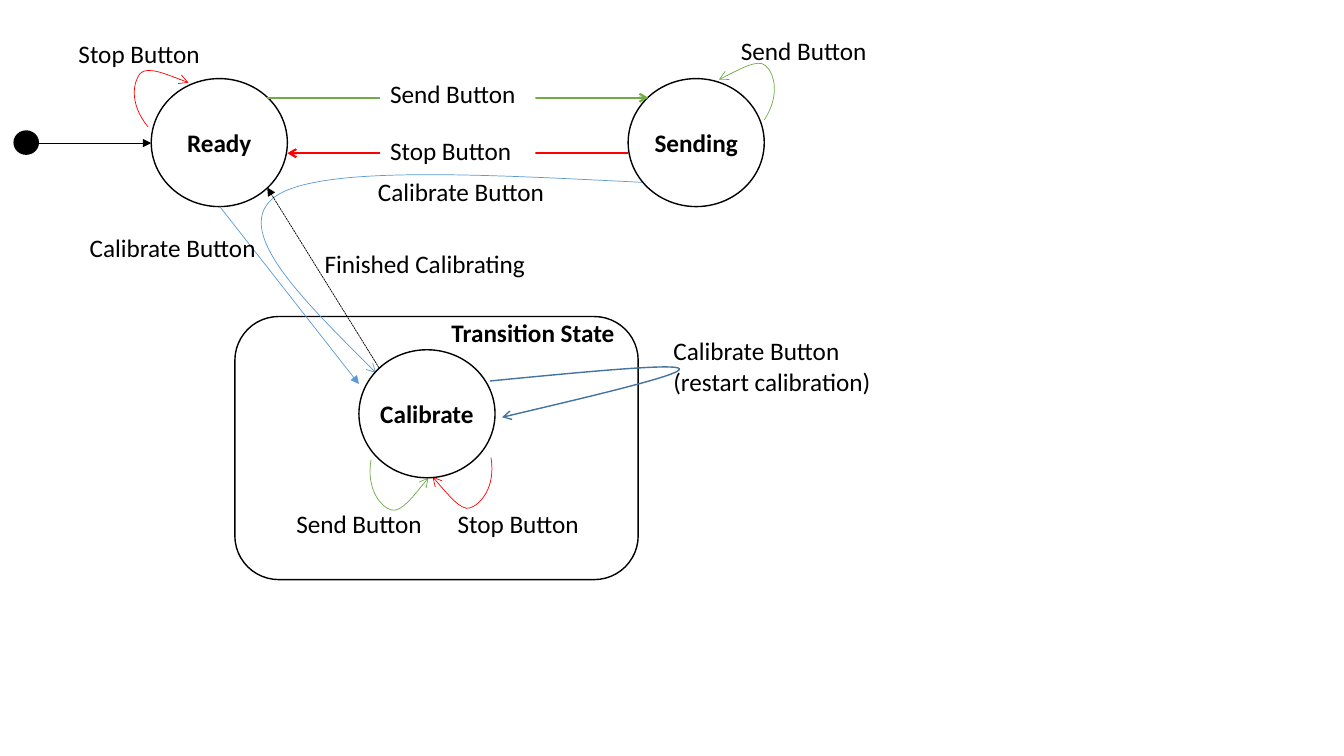
from lxml import etree
from pptx import Presentation
from pptx.dml.color import RGBColor
from pptx.enum.dml import MSO_LINE
from pptx.enum.shapes import MSO_CONNECTOR, MSO_SHAPE
from pptx.enum.text import MSO_ANCHOR, PP_ALIGN
from pptx.oxml.ns import qn
from pptx.util import Inches, Pt

BLACK = RGBColor(0x00, 0x00, 0x00)
WHITE = RGBColor(0xFF, 0xFF, 0xFF)
GREEN = RGBColor(0x70, 0xAD, 0x47)
RED = RGBColor(0xFF, 0x00, 0x00)
BLUE = RGBColor(0x5B, 0x9B, 0xD5)
DARK_BLUE = RGBColor(0x43, 0x73, 0x9E)
ELLIPSE, ROUNDED = MSO_SHAPE.OVAL, MSO_SHAPE.ROUNDED_RECTANGLE
STRAIGHT, SHORT_DASH = MSO_CONNECTOR.STRAIGHT, MSO_LINE.SQUARE_DOT
LEFT, CENTER, MIDDLE = PP_ALIGN.LEFT, PP_ALIGN.CENTER, MSO_ANCHOR.MIDDLE

STATE_WIDTH, STATE_HEIGHT = 1.35, 1.27


def style_arrow(arrow, color, width, head):
    """Colour a line or curve, put an arrowhead at its end and drop its shadow."""
    arrow.line.color.rgb = color
    arrow.line.width = Pt(width)
    properties = arrow._element.spPr
    etree.SubElement(properties.find(qn("a:ln")), qn("a:tailEnd"), type=head)
    etree.SubElement(properties, qn("a:effectLst"))


def write_text(frame, wording, bold=False, align=LEFT):
    """Write each line of the wording as one paragraph."""
    frame.word_wrap = True
    for number, text in enumerate(wording.split("\n")):
        paragraph = frame.add_paragraph() if number else frame.paragraphs[0]
        paragraph.alignment = align
        run = paragraph.add_run()
        run.text = text
        run.font.name = "Calibri"
        run.font.size = Pt(18)
        run.font.bold = bold
        run.font.color.rgb = BLACK


prs = Presentation()
prs.slide_width, prs.slide_height = Inches(13.33), Inches(7.5)
slide = prs.slides.add_slide(prs.slide_layouts[6])
shapes = slide.shapes

# Frame of the transition state
transition_frame = shapes.add_shape(
    ROUNDED, Inches(2.33), Inches(3.14), Inches(4), Inches(2.61))
transition_frame.shadow.inherit = False
transition_frame.fill.background()
transition_frame.line.color.rgb = BLACK
transition_frame.line.width = Pt(1)

# Curved transitions: a start, then two Bezier controls and an end per segment
curved_transitions = [
    (GREEN, 0.5, [(7.58, 1.19), (7.75, 0.93), (7.67, 0.71), (7.59, 0.65),
                  (7.52, 0.58), (7.13, 0.79), (7.13, 0.79)]),
    (RED, 0.5, [(1.47, 1.26), (1.27, 1.02), (1.33, 0.8), (1.39, 0.73),
                (1.46, 0.65), (1.87, 0.82), (1.87, 0.82)]),
    (BLUE, 0.5, [(6.38, 1.81), (4.78, 1.73), (3.17, 1.64), (2.73, 1.95),
                 (2.29, 2.27), (3.01, 2.98), (3.73, 3.7)]),
    (GREEN, 0.5, [(3.68, 4.56), (3.63, 4.86), (3.78, 5.03), (3.88, 5.06),
                  (3.98, 5.09), (4.25, 4.74), (4.25, 4.74)]),
    (RED, 0.5, [(4.87, 4.54), (4.92, 4.84), (4.76, 5.01), (4.66, 5.04),
                (4.57, 5.07), (4.29, 4.73), (4.29, 4.73)]),
    (DARK_BLUE, 1, [(4.86, 3.78), (5.79, 3.69), (6.72, 3.6), (6.74, 3.66),
                    (6.76, 3.72), (5.87, 3.93), (4.98, 4.14)]),
]
for color, width, points in curved_transitions:
    start, *rest = [(Inches(x), Inches(y)) for x, y in points]
    builder = shapes.build_freeform(*start)
    builder.add_line_segments(rest, close=False)
    curve = builder.convert_to_shape()
    curve.fill.background()
    # Merge every three straight steps into one cubic segment
    steps = list(curve._element.iter(qn("a:lnTo")))
    for first in range(0, len(steps), 3):
        segment = etree.Element(qn("a:cubicBezTo"))
        steps[first].addprevious(segment)
        for step in steps[first:first + 3]:
            segment.append(step[0])
            step.getparent().remove(step)
    style_arrow(curve, color, width, "arrow")

# States
for name, left, top in [("Ready", 1.5, 0.78), ("Sending", 6.23, 0.78),
                        ("Calibrate", 3.56, 3.47)]:
    state = shapes.add_shape(ELLIPSE, Inches(left), Inches(top),
                             Inches(STATE_WIDTH), Inches(STATE_HEIGHT))
    state.shadow.inherit = False
    state.fill.solid()
    state.fill.fore_color.rgb = WHITE
    state.line.color.rgb = BLACK
    state.line.width = Pt(1)
    state.text_frame.margin_left = state.text_frame.margin_right = 0
    state.text_frame.vertical_anchor = MIDDLE
    write_text(state.text_frame, name, bold=True, align=CENTER)

initial_state = shapes.add_shape(
    ELLIPSE, Inches(0.14), Inches(1.3), Inches(0.24), Inches(0.23))
initial_state.shadow.inherit = False
initial_state.fill.solid()
initial_state.fill.fore_color.rgb = BLACK
initial_state.line.color.rgb = BLACK
initial_state.line.width = Pt(1)

# Straight transitions
straight_transitions = [
    ((2.65, 0.97), (6.43, 0.97), GREEN, 1.5, "arrow", None),
    ((6.23, 1.52), (2.85, 1.52), RED, 1.5, "arrow", None),
    ((2.18, 2.05), (3.56, 3.81), BLUE, 0.5, "triangle", None),
    ((3.76, 3.65), (2.65, 1.86), BLACK, 0.5, "triangle", SHORT_DASH),
    ((0.38, 1.42), (1.5, 1.42), BLACK, 0.5, "triangle", None),
]
for start, end, color, width, head, dash in straight_transitions:
    transition = shapes.add_connector(
        STRAIGHT, *[Inches(value) for value in start + end])
    if dash:
        transition.line.dash_style = dash
    style_arrow(transition, color, width, head)

# Labels; the opaque ones interrupt the line behind them
labels = [
    ("Send Button", 3.77, 0.73, 1.54, 0.4, True, False),
    ("Stop Button", 3.77, 1.29, 1.54, 0.4, True, False),
    ("Send Button", 7.25, 0.3, 1.65, 0.4, False, False),
    ("Stop Button", 0.68, 0.33, 1.65, 0.4, False, False),
    ("Calibrate Button", 3.65, 1.7, 2.52, 0.4, False, False),
    ("Calibrate Button", 0.79, 2.26, 2.52, 0.4, False, False),
    ("Finished Calibrating", 3.12, 2.41, 2.32, 0.4, False, False),
    ("Send Button", 2.84, 4.99, 1.65, 0.4, False, False),
    ("Stop Button", 4.44, 4.99, 1.65, 0.4, False, False),
    ("Calibrate Button\n(restart calibration)", 6.58, 3.28, 2.52, 0.71, False, False),
    ("Transition State", 4.38, 3.1, 1.96, 0.4, False, True),
]
for wording, left, top, width, height, opaque, bold in labels:
    label = shapes.add_textbox(
        Inches(left), Inches(top), Inches(width), Inches(height))
    if opaque:
        label.fill.solid()
        label.fill.fore_color.rgb = WHITE
    write_text(label.text_frame, wording, bold=bold)

prs.save("out.pptx")
